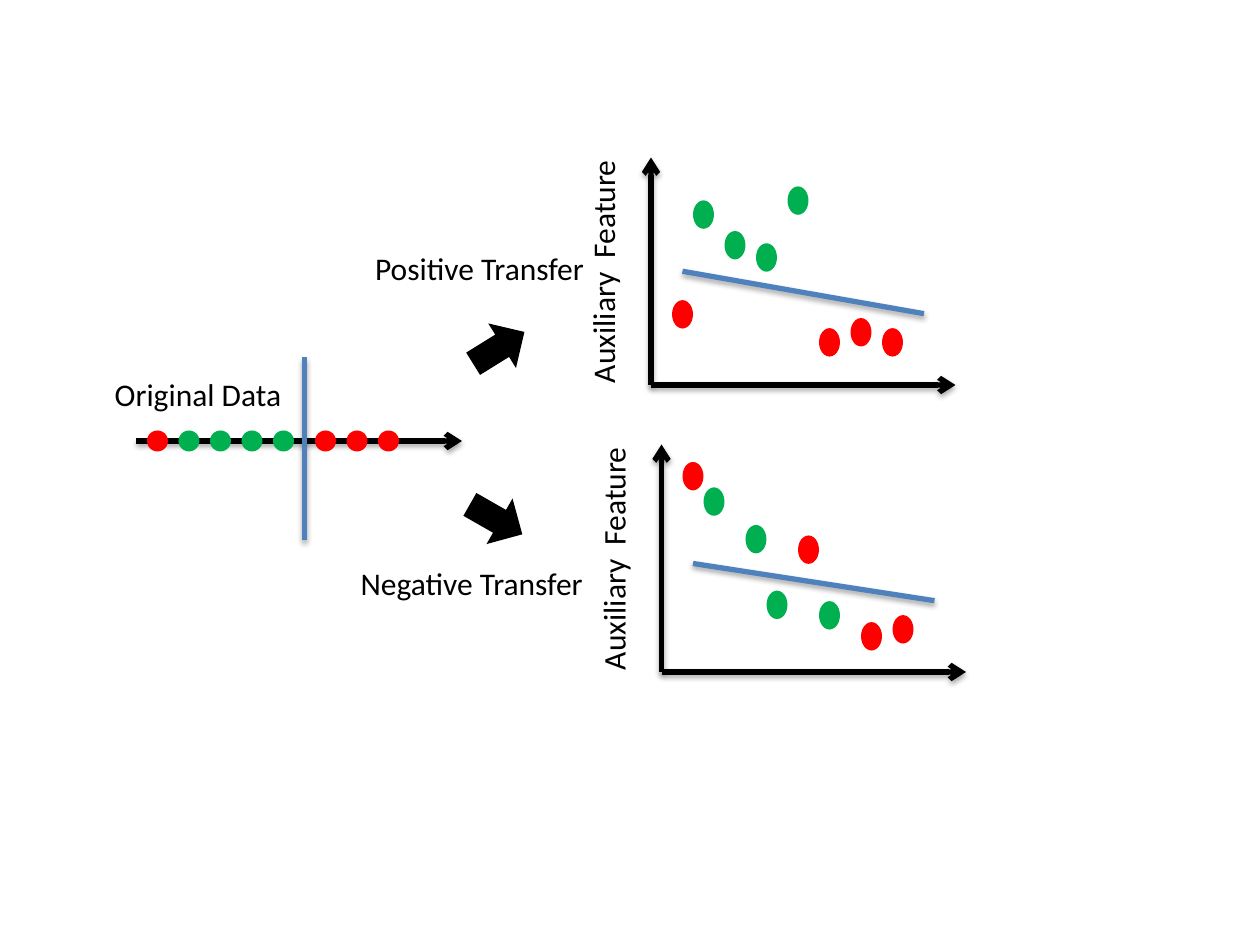
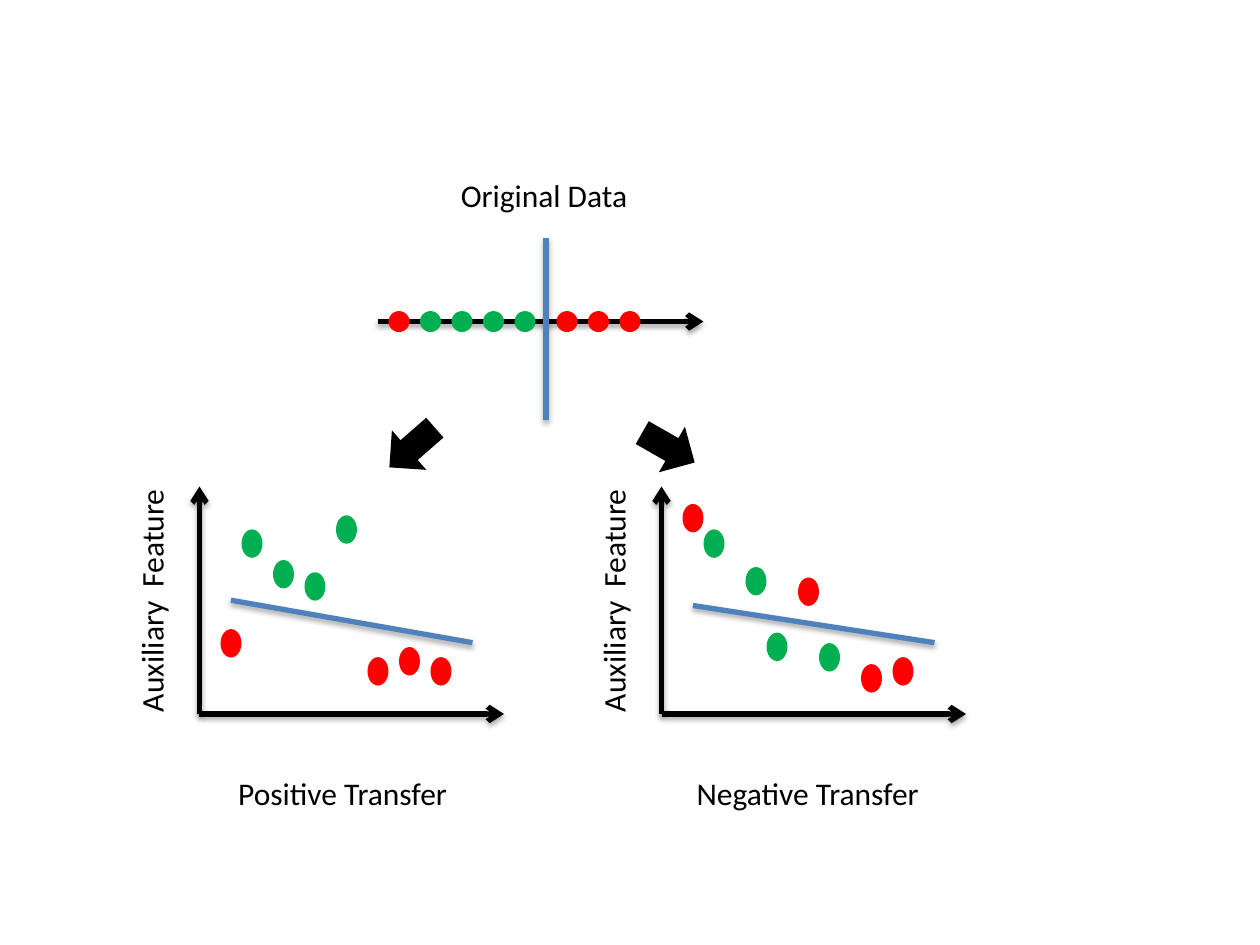
"""Build two slides that compare positive and negative feature transfer."""
import dataclasses

import lxml.etree
import pptx
import pptx.dml.color
import pptx.enum.shapes
import pptx.enum.text
import pptx.oxml.ns
import pptx.util

Pt = pptx.util.Pt
RGB = pptx.dml.color.RGBColor.from_string
qn = pptx.oxml.ns.qn
MSO_SHAPE = pptx.enum.shapes.MSO_SHAPE


@dataclasses.dataclass(frozen=True)
class Theme:
    """Colours, type and line sizes shared by the slides."""
    ink: str = "000000"
    red: str = "FF0000"
    green: str = "00B050"
    blue: str = "4F81BD"
    font: str = "Calibri"
    size: float = 18
    line: float = 3


@dataclasses.dataclass(frozen=True)
class Scatter:
    """Dot corners and separator ends, relative to the plot box."""
    red: tuple
    green: tuple
    separator: tuple


T = Theme()
PLOT_W, PLOT_H = 174, 130
AXIS_W, DOT, DOT_STEP = 186, 12, 18
POSITIVE = Scatter(
    red=((12, 81.5), (96, 97.5), (132, 97.5), (114, 91.75)),
    green=((24, 24.5), (60, 49), (42, 42), (78, 16.5)),
    separator=(18, 65, 156, 89.25))
NEGATIVE = Scatter(
    red=((12, 10), (78, 52), (132, 97.5), (114, 101.5)),
    green=((24, 24.5), (60, 83.5), (48, 46), (90, 89.5)),
    separator=(18, 68, 156, 89.25))


def add_shape(slide, kind, box, color, rotation=0):
    """Add a flat filled shape without outline."""
    sp = slide.shapes.add_shape(kind, *map(Pt, box))
    sp.fill.solid()
    sp.fill.fore_color.rgb = RGB(color)
    sp.line.fill.background()
    sp.shadow.inherit = False
    sp.rotation = rotation


def add_line(slide, ends, color, arrow=False):
    """Add a straight line with a soft shadow and an optional arrowhead."""
    cxn = slide.shapes.add_connector(
        pptx.enum.shapes.MSO_CONNECTOR.STRAIGHT, *map(Pt, ends))
    cxn.line.color.rgb = RGB(color)
    cxn.line.width = Pt(T.line)
    sp_pr = cxn.element.spPr
    if arrow:
        lxml.etree.SubElement(sp_pr.get_or_add_ln(), qn("a:tailEnd"), type="arrow")
    effects = lxml.etree.SubElement(sp_pr, qn("a:effectLst"))
    shadow = lxml.etree.SubElement(
        effects, qn("a:outerShdw"), blurRad=str(Pt(3.1)), dist=str(Pt(1.8)),
        dir="5400000", rotWithShape="0")
    tint = lxml.etree.SubElement(shadow, qn("a:srgbClr"), val=T.ink)
    lxml.etree.SubElement(tint, qn("a:alpha"), val="35000")


def add_label(slide, text, box, vertical=False):
    """Add a one-line label, turned to read upwards if vertical."""
    tf = slide.shapes.add_textbox(*map(Pt, box)).text_frame
    tf.word_wrap = False
    tf.auto_size = pptx.enum.text.MSO_AUTO_SIZE.SHAPE_TO_FIT_TEXT
    if vertical:
        tf._txBody.bodyPr.set("vert", "vert270")
    p = tf.paragraphs[0]
    p.text = text
    p.font.name = T.font
    p.font.size = Pt(T.size)
    p.font.color.rgb = RGB(T.ink)


def add_original_data(slide, x, y, label_dx, label_dy):
    """Draw the one-dimensional data on an axis that starts at x, y."""
    add_line(slide, (x, y, x + AXIS_W, y), T.ink, arrow=True)
    runs = ((6, (T.red,) + (T.green,) * 4), (102, (T.red,) * 3))
    for start, colors in runs:
        for i, color in enumerate(colors):
            box = (x + start + i * DOT_STEP, y - DOT / 2, DOT, DOT)
            add_shape(slide, MSO_SHAPE.OVAL, box, color)
    add_line(slide, (x + 96, y - 48, x + 96, y + 56.5), T.blue)
    add_label(slide, "Original Data", (x + label_dx, y + label_dy, 111, 29))


def add_plot(slide, x, y, scatter):
    """Draw a scatter plot whose axes fill the box at x, y."""
    bottom = y + PLOT_H
    add_line(slide, (x, bottom, x + PLOT_W, bottom), T.ink, arrow=True)
    for color, dots in ((T.red, scatter.red), (T.green, scatter.green)):
        for dx, dy in dots:
            add_shape(slide, MSO_SHAPE.OVAL, (x + dx, y + dy, DOT, 16.25), color)
    add_line(slide, (x, bottom, x, y), T.ink, arrow=True)
    x1, y1, x2, y2 = scatter.separator
    add_line(slide, (x + x1, y + y1, x + x2, y + y2), T.blue)
    add_label(slide, "Auxiliary  Feature", (x - 42, y, 36, 136), vertical=True)


def add_transfer(slide, title, title_at, plot_at, arrow_at, rotation, scatter):
    """Draw one outcome: its plot, its title and the block arrow to it."""
    add_plot(slide, *plot_at, scatter)
    width = 135 if scatter is POSITIVE else 143
    add_label(slide, title, (*title_at, width, 29))
    add_shape(slide, MSO_SHAPE.DOWN_ARROW, (*arrow_at, 30, 34.5), T.ink, rotation)


def build_side_by_side(slide):
    """Place the data on the left and both outcomes on the right."""
    add_original_data(slide, 78, 252, -19.5, -41)
    add_transfer(slide, "Positive Transfer", (207.25, 138.5), (372, 90),
                 (270, 181.5), 238.2, POSITIVE)
    add_transfer(slide, "Negative Transfer", (199, 319), (378, 254),
                 (268.5, 279.5), 299.7, NEGATIVE)


def build_top_down(slide):
    """Place the data on top and both outcomes below it."""
    add_original_data(slide, 216, 183.75, 40.25, -86.5)
    add_transfer(slide, "Positive Transfer", (129, 439), (114, 278),
                 (220.5, 238.5), 48.9, POSITIVE)
    add_transfer(slide, "Negative Transfer", (391, 439), (378, 278),
                 (367, 238.5), 299.7, NEGATIVE)


def main():
    """Build and save the presentation."""
    prs = pptx.Presentation()
    prs.slide_width, prs.slide_height = Pt(720), Pt(540)
    for build in (build_side_by_side, build_top_down):
        build(prs.slides.add_slide(prs.slide_layouts[6]))
    prs.save("out.pptx")


main()
